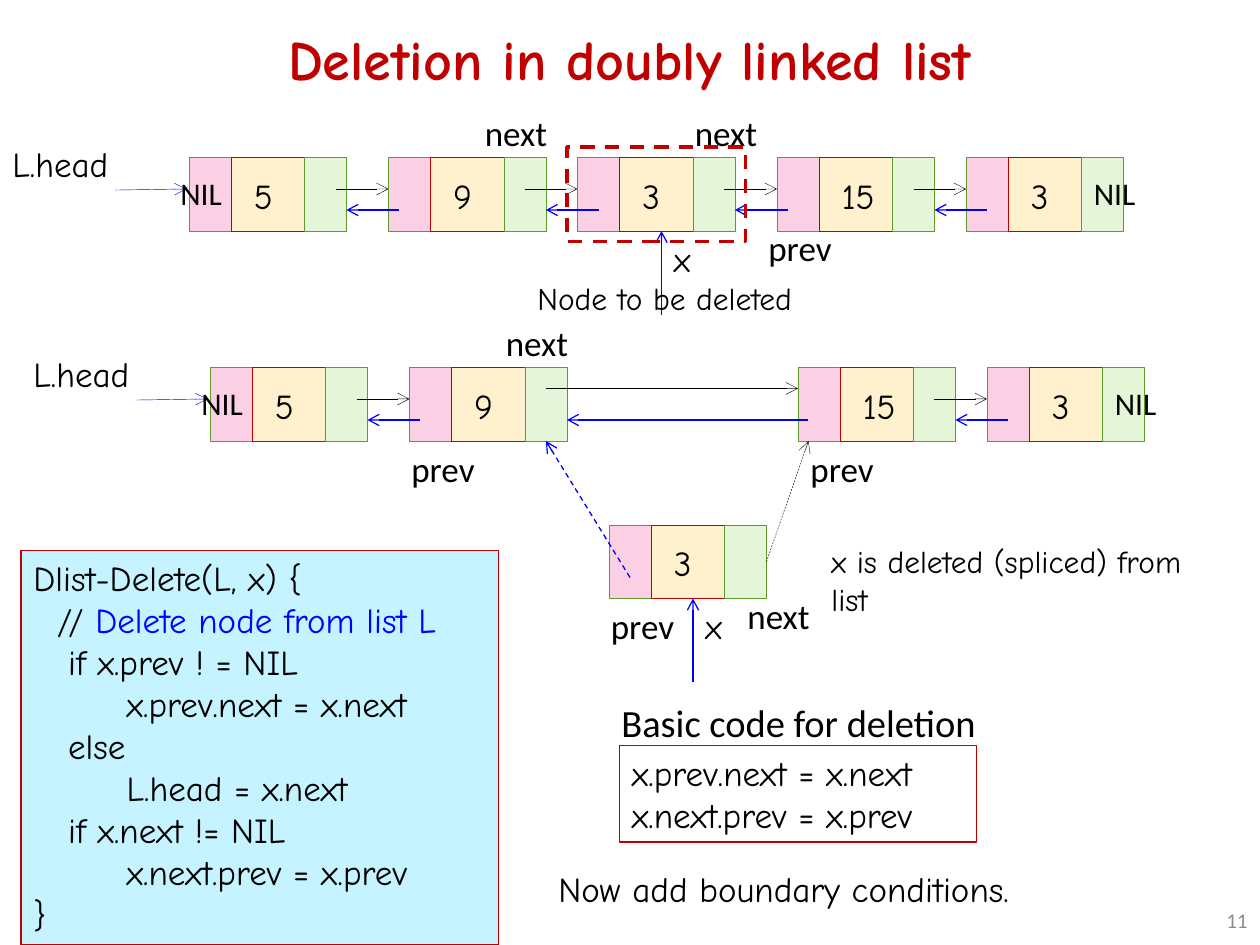
import pptx
import pptx.dml.color
import pptx.enum.dml
import pptx.enum.shapes
import pptx.enum.text
import pptx.oxml
import pptx.oxml.ns
import pptx.util

BLACK, BLUE, RED, GREEN = "000000", "0000FF", "C00000", "5E9B2C"
PINK, CREAM, MINT, SKY = "FBD0E4", "FFF1CE", "E5F6D8", "C5F3FF"
COMIC, CALIBRI = "Comic Neue", "Calibri"
PART_WIDTHS = {"prev": 4, "key": 7, "next": 4}
NODE_WIDTH = sum(PART_WIDTHS.values())
NODE_HEIGHT = 7
LINK = 5
DASH = pptx.enum.dml.MSO_LINE.DASH
ALIGN = pptx.enum.text.PP_ALIGN
ANCHOR = pptx.enum.text.MSO_ANCHOR


def grid(steps):
    """Length of a number of grid steps, twelve to the inch."""
    return pptx.util.Cm(steps * 2.54 / 12)


def rgb(value):
    return pptx.dml.color.RGBColor.from_string(value)


def write(shape, *paragraphs, size=20, font=COMIC, color=BLACK, bold=False,
          align=ALIGN.LEFT, anchor=ANCHOR.TOP, wrap=False, indents=()):
    """Each paragraph is a string or a list of (string, colour) runs."""
    frame = shape.text_frame
    frame.word_wrap = wrap
    frame.vertical_anchor = anchor
    for number, content in enumerate(paragraphs):
        paragraph = frame.add_paragraph() if number else frame.paragraphs[0]
        paragraph.alignment = align
        if indents:
            paragraph._p.get_or_add_pPr().set("marL", str(pptx.util.Cm(indents[number])))
        for words, tint in [(content, color)] if isinstance(content, str) else content:
            run = paragraph.add_run()
            run.text = words
            run.font.name = font
            run.font.size = pptx.util.Pt(size)
            run.font.bold = bold
            run.font.color.rgb = rgb(tint)


def label(parent, left, top, width, height, *paragraphs, **text_format):
    box = parent.shapes.add_textbox(*map(grid, (left, top, width, height)))
    write(box, *paragraphs, **text_format)


def pointer_name(slide, left, top, name):
    label(slide, left, top, 8.4, 5.3, name, font=CALIBRI)


def nil(slide, left, top):
    label(slide, left, top, 6.5, 4.8, "NIL", size=18, font=CALIBRI)


def rectangle(parent, left, top, width, height, fill=None, line=RED, weight=0.75, dash=None):
    box = parent.shapes.add_shape(pptx.enum.shapes.MSO_SHAPE.RECTANGLE,
                                  *map(grid, (left, top, width, height)))
    box.shadow.inherit = False
    if fill:
        box.fill.solid()
        box.fill.fore_color.rgb = rgb(fill)
    else:
        box.fill.background()
    box.line.color.rgb = rgb(line)
    box.line.width = pptx.util.Pt(weight)
    if dash:
        box.line.dash_style = dash
    return box


def arrow(slide, start, end, color=BLACK, weight=0.25, dash=None):
    connector = slide.shapes.add_connector(
        pptx.enum.shapes.MSO_CONNECTOR.STRAIGHT, *map(grid, (*start, *end)))
    connector.line.color.rgb = rgb(color)
    connector.line.width = pptx.util.Pt(weight)
    if dash:
        connector.line.dash_style = dash
    properties = connector._element.spPr
    head = pptx.oxml.parse_xml(
        f'<a:tailEnd {pptx.oxml.ns.nsdecls("a")} type="arrow"/>')
    properties.find(pptx.oxml.ns.qn("a:ln")).append(head)
    properties.append(pptx.oxml.parse_xml(f'<a:effectLst {pptx.oxml.ns.nsdecls("a")}/>'))


def node(slide, left, top, key):
    group = slide.shapes.add_group_shape()
    part_left = left
    for part, fill, line in (("prev", PINK, GREEN), ("key", CREAM, RED), ("next", MINT, GREEN)):
        rectangle(group, part_left, top, PART_WIDTHS[part], NODE_HEIGHT, fill, line, 0.25)
        part_left += PART_WIDTHS[part]
    label(group, left + 5, top + 1, 4.4 if len(key) == 1 else 6, 5.3, key)


def linked_list(slide, left, top, nodes):
    """Nodes are (offset from left, key); a wide gap gets one long pair of links."""
    for offset, key in nodes:
        node(slide, left + offset, top, key)
    for (before, _), (after, _) in zip(nodes, nodes[1:]):
        right, following = left + before + NODE_WIDTH, left + after
        spliced = following - right > LINK
        next_from = right - 2 if spliced else following - LINK
        prev_from = following + 1 if spliced else right + LINK
        next_y = top + (2 if spliced else 3)
        arrow(slide, (next_from, next_y), (following, next_y))
        arrow(slide, (prev_from, top + 5), (right, top + 5), BLUE, 0.75)
    label(slide, left - 18, top - 2, 12.6, 5.3, "L.head")
    arrow(slide, (left - 7, top + 3.1), (left - 0.25, top + 3), BLUE)
    nil(slide, left - 2, top + 1)
    nil(slide, left + nodes[-1][0] + 11, top + 1)


def x_marker(slide, node_left, node_top):
    left, bottom = node_left + 8, node_top + NODE_HEIGHT
    arrow(slide, (left, bottom + 8), (left, bottom), BLUE, 0.75)
    label(slide, left, bottom, 4.4, 5.3, "x")


def list_before(slide, left, top):
    linked_list(slide, left, top, [(0, "5"), (19, "9"), (37, "3"), (56, "15"), (74, "3")])
    pointer_name(slide, left + 27, top - 5, "next")
    pointer_name(slide, left + 47, top - 5, "next")
    pointer_name(slide, left + 54, top + 6, "prev")
    x_marker(slide, left + 37, top)
    rectangle(slide, left + 36, top - 1, 17, 9, weight=2, dash=DASH)
    label(slide, left + 32, top + 11, 29.9, 4.8, "Node to be deleted", size=18)


def list_after(slide, left, top):
    linked_list(slide, left, top, [(0, "5"), (19, "9"), (56, "15"), (74, "3")])
    pointer_name(slide, left + 27, top - 5, "next")
    pointer_name(slide, left + 18, top + 7, "prev")
    pointer_name(slide, left + 56, top + 7, "prev")


def deleted_node(slide, left, top):
    node(slide, left, top, "3")
    arrow(slide, (left + 15, top + 3.5), (left + 19, top - 8), dash=DASH)
    arrow(slide, (left + 2, top + 5), (left - 6, top - 8), BLUE, 0.75, DASH)
    pointer_name(slide, left + 12, top + 6, "next")
    pointer_name(slide, left - 1, top + 7, "prev")
    x_marker(slide, left, top)
    label(slide, left + 20, top + 1, 39, 8.5, "x is deleted (spliced) from list",
          size=18, wrap=True)


def full_code(slide, left, top, width, height):
    write(rectangle(slide, left, top, width, height, SKY),
          "Dlist-Delete(L, x) {",
          [("// ", BLACK), ("Delete node from list L", BLUE)],
          "if x.prev ! = NIL",
          "x.prev.next = x.next",
          "else",
          "L.head = x.next",
          "if x.next != NIL",
          "x.next.prev = x.prev",
          "}",
          indents=(0, 0.48, 0.7, 1.88, 0.7, 1.88, 0.7, 1.88, 0))


def basic_code(slide, left, top):
    label(slide, left - 1, top - 5, 36.6, 5.6, "Basic code for deletion", size=22, font=CALIBRI)
    write(rectangle(slide, left, top, 34, 9.2), "x.prev.next = x.next", "x.next.prev = x.prev")
    label(slide, left - 7, top + 11, 49, 5.3, "Now add boundary conditions.")


def main():
    deck = pptx.Presentation()
    deck.slide_width, deck.slide_height = grid(120), grid(90)
    slide = deck.slides.add_slide(deck.slide_layouts[6])
    label(slide, 6, -2, 108, 15, "Deletion in doubly linked list", size=32, color=RED,
          bold=True, align=ALIGN.CENTER, anchor=ANCHOR.MIDDLE, wrap=True)
    label(slide, 92, 85.2, 28, 4.8, "11", size=12, font=CALIBRI, color="8C8C8C",
          align=ALIGN.RIGHT, anchor=ANCHOR.MIDDLE, wrap=True)
    list_before(slide, 18, 15)
    list_after(slide, 20, 35)
    deleted_node(slide, 58, 50)
    full_code(slide, 2, 52.4, 45.5, 37.6)
    basic_code(slide, 59, 71)
    deck.save("out.pptx")


if __name__ == "__main__":
    main()
